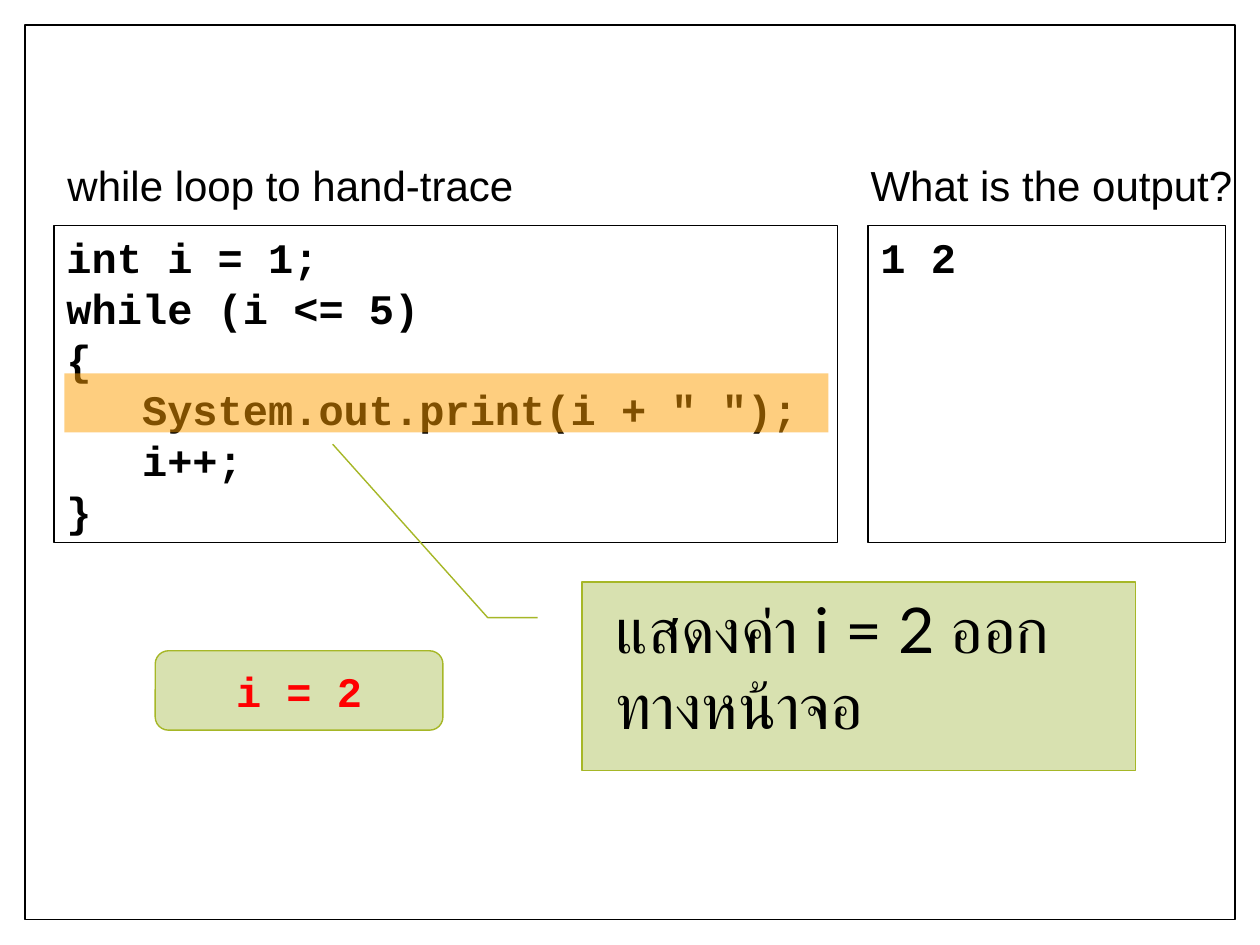
from lxml import etree
from pptx import Presentation
from pptx import util as u
from pptx.dml.color import RGBColor
from pptx.enum import shapes, text
from pptx.oxml.ns import qn

BLACK = RGBColor(0x00, 0x00, 0x00)
WHITE = RGBColor(0xFF, 0xFF, 0xFF)
RED = RGBColor(0xFF, 0x00, 0x00)
ORANGE = RGBColor(0xFE, 0x9E, 0x00)
PALE_GREEN = RGBColor(0xD8, 0xE1, 0xB0)
GREEN = RGBColor(0xA6, 0xB7, 0x27)
SHAPE = shapes.MSO_SHAPE

CODE = [
    "int i = 1;",
    "while (i <= 5)",
    "{",
    '   System.out.print(i + " ");',
    "   i++;",
    "}",
]


def add_shape(slide, kind, box, fill=None, line=None, width=0.75):
    shape = slide.shapes.add_shape(kind, *map(u.Cm, box))
    shape.shadow.inherit = False
    if fill is None:
        shape.fill.background()
    else:
        shape.fill.solid()
        shape.fill.fore_color.rgb = fill
    if line is None:
        shape.line.fill.background()
    else:
        shape.line.color.rgb = line
        shape.line.width = u.Pt(width)
    return shape


def write(shape, lines, font, size=24, color=BLACK, bold=False,
          align=text.PP_ALIGN.LEFT, anchor=text.MSO_ANCHOR.TOP,
          spacing=None, before=None):
    frame = shape.text_frame
    frame.word_wrap = True
    frame.vertical_anchor = anchor
    frame.text = "\n".join(lines)
    for paragraph in frame.paragraphs:
        paragraph.alignment = align
        paragraph.font.name = font
        paragraph.font.size = u.Pt(size)
        paragraph.font.bold = bold
        paragraph.font.color.rgb = color
        if spacing:
            paragraph.line_spacing = u.Pt(spacing)
        if before:
            paragraph.space_before = u.Pt(before)


def add_label(slide, box, caption):
    label = slide.shapes.add_textbox(*map(u.Cm, box))
    write(label, [caption], "Arial", before=3)


def add_code_panel(slide, box, lines):
    panel = add_shape(slide, SHAPE.RECTANGLE, box, line=BLACK)
    write(panel, lines, "Courier New", bold=True, spacing=29)


def add_explanation(slide, box, message):
    left, top, width, height = box
    callout = add_shape(slide, SHAPE.LINE_CALLOUT_2, box, PALE_GREEN, GREEN, 0.79)
    for index, value in enumerate((0.19, -0.08, 0.19, -0.17, -0.73, -0.45)):
        callout.adjustments[index] = value
    note = slide.shapes.add_textbox(
        u.Cm(left + 0.43), u.Cm(top + 0.05), u.Cm(width - 0.48), u.Cm(height - 0.48))
    write(note, [message], "Lato", size=36)


def add_variable(slide, box, value):
    badge = add_shape(slide, SHAPE.ROUNDED_RECTANGLE, box, PALE_GREEN, GREEN, 0.79)
    write(badge, [value], "Courier New", color=RED, bold=True,
          align=text.PP_ALIGN.CENTER, anchor=text.MSO_ANCHOR.MIDDLE)


def add_highlight(slide, box):
    highlight = add_shape(slide, SHAPE.RECTANGLE, box, ORANGE)
    color = highlight.fill._xPr.find(qn("a:solidFill")).find(qn("a:srgbClr"))
    etree.SubElement(color, qn("a:alpha")).set("val", "50000")


def build_trace_slide(presentation):
    slide = presentation.slides.add_slide(presentation.slide_layouts[6])
    add_shape(slide, SHAPE.RECTANGLE, (0.5, 0.5, 24.4, 18.04), WHITE, BLACK, 1)
    add_label(slide, (1.11, 3.1, 11.63, 1.78), "while loop to hand-trace")
    add_label(slide, (17.3, 3.1, 9.53, 1.78), "What is the output?")
    add_code_panel(slide, (1.09, 4.54, 15.8, 6.4), CODE)
    add_code_panel(slide, (17.5, 4.54, 7.2, 6.4), ["1 2"])
    add_explanation(slide, (11.73, 11.73, 11.16, 3.8), "แสดงค่า i = 2 ออกทางหน้าจอ")
    add_variable(slide, (3.13, 13.12, 5.8, 1.6), "i = 2")
    add_highlight(slide, (1.3, 7.53, 15.4, 1.19))


presentation = Presentation()
presentation.slide_width = u.Cm(25.4)
presentation.slide_height = u.Cm(19.05)
build_trace_slide(presentation)
presentation.save("out.pptx")
